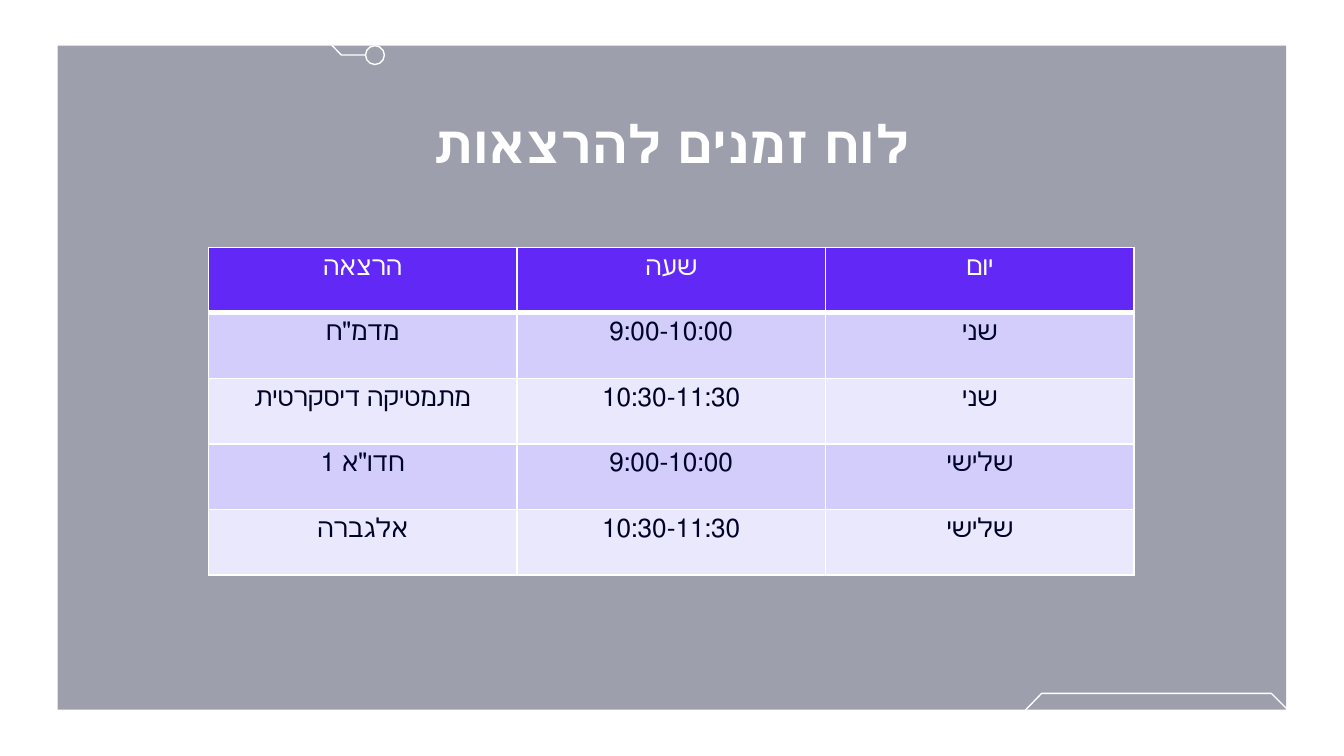
"""Build a lecture timetable slide with a framed backdrop and circuit ornaments."""
import pptx
import pptx.dml.color
import pptx.enum.shapes
import pptx.enum.text
import pptx.oxml.ns
import pptx.util
import lxml.etree

RGBColor = pptx.dml.color.RGBColor
Inches = pptx.util.Inches
Pt = pptx.util.Pt
SHAPE = pptx.enum.shapes.MSO_SHAPE
CENTER = pptx.enum.text.PP_ALIGN.CENTER

WHITE = RGBColor(0xFF, 0xFF, 0xFF)
NAVY = RGBColor(0x00, 0x03, 0x28)
VIOLET = RGBColor(0x61, 0x28, 0xF6)
LILAC = RGBColor(0xD2, 0xCD, 0xFB)
PALE_LILAC = RGBColor(0xEA, 0xE8, 0xFD)

WIDTH = 10
HEIGHT = WIDTH * 9 / 16
FONT = "Arial"
TRACE = [(0, 0.25), (0.4, 0.25), (0.54, 0.11), (2.25, 0.11), (2.54, 0.41), (2.72, 0.41)]
NODE_SIZE = 0.14
TIMETABLE = [
    ("הרצאה", "שעה", "יום"),
    ('מדמ"ח', "9:00-10:00", "שני"),
    ("מתמטיקה דיסקרטית", "10:30-11:30", "שני"),
    ('חדו"א 1', "9:00-10:00", "שלישי"),
    ("אלגברה", "10:30-11:30", "שלישי"),
]
TABLE_WIDTH, TABLE_HEIGHT = 6.89, 2.44


def add_child(parent, tag, **attributes):
    """Append a DrawingML element and return it."""
    return lxml.etree.SubElement(parent, pptx.oxml.ns.qn(tag), attributes)


def write_text(frame, text, size=14, color=NAVY, bold=False):
    """Write one centred right-to-left paragraph into a text frame."""
    para = frame.paragraphs[0]
    para.alignment = CENTER
    para._p.get_or_add_pPr().set("rtl", "1")
    span = para.add_run()
    span.text = text
    span.font.name = FONT
    span.font.size = Pt(size)
    span.font.bold = bold
    span.font.color.rgb = color


def add_backdrop(page):
    """Draw the translucent navy panel inside the white frame."""
    panel = page.shapes.add_shape(
        SHAPE.RECTANGLE, Inches(0.43), Inches(0.34), Inches(9.14), Inches(4.94))
    panel.shadow.inherit = False
    panel.line.fill.background()
    panel.fill.solid()
    panel.fill.fore_color.rgb = NAVY
    color = panel._element.spPr.find(".//" + pptx.oxml.ns.qn("a:srgbClr"))
    add_child(color, "a:alpha", val="38000")


def outline(shape):
    """Leave a shape unfilled with a thin white line."""
    shape.shadow.inherit = False
    shape.fill.background()
    shape.line.color.rgb = WHITE
    shape.line.width = Pt(0.75)


def add_trace(page, drop=0, mirrored=False):
    """Draw a bent circuit trace from a side of the slide."""
    points = [(Inches(WIDTH - x if mirrored else x), Inches(y + drop)) for x, y in TRACE]
    builder = page.shapes.build_freeform(*points[0])
    builder.add_line_segments(points[1:], close=False)
    outline(builder.convert_to_shape())


def add_node(page):
    """Draw the round node at the end of the upper trace."""
    left, middle = TRACE[-1]
    outline(page.shapes.add_shape(
        SHAPE.OVAL, Inches(left), Inches(middle - NODE_SIZE / 2),
        Inches(NODE_SIZE), Inches(NODE_SIZE)))


def add_title(page, text):
    """Add the centred slide title."""
    box = page.shapes.add_textbox(
        Inches(WIDTH / 4), Inches(0.78), Inches(WIDTH / 2), Inches(0.57))
    box.text_frame.word_wrap = True
    write_text(box.text_frame, text, size=28, color=WHITE, bold=True)


def add_border(cell, bottom=1):
    """Give a cell white borders, with a chosen bottom width in points."""
    properties = cell._tc.get_or_add_tcPr()
    for side, width in (("L", 1), ("R", 1), ("T", 1), ("B", bottom)):
        line = add_child(properties, "a:ln" + side, w=str(Pt(width)))
        add_child(add_child(line, "a:solidFill"), "a:srgbClr", val=str(WHITE))


def add_timetable(page, rows):
    """Add the timetable with a violet header and alternating rows."""
    table = page.shapes.add_table(
        len(rows), len(rows[0]), Inches(1.55), Inches(1.84),
        Inches(TABLE_WIDTH), Inches(TABLE_HEIGHT)).table
    for row, texts in enumerate(rows):
        header = row == 0
        fill = VIOLET if header else LILAC if row % 2 else PALE_LILAC
        for column, text in enumerate(texts):
            cell = table.cell(row, column)
            add_border(cell, bottom=3 if header else 1)
            cell.fill.solid()
            cell.fill.fore_color.rgb = fill
            write_text(cell.text_frame, text, color=WHITE if header else NAVY)


def main():
    """Build and save the deck."""
    deck = pptx.Presentation()
    deck.slide_width, deck.slide_height = Inches(WIDTH), Inches(HEIGHT)
    page = deck.slides.add_slide(deck.slide_layouts[6])
    add_backdrop(page)
    add_trace(page)
    add_node(page)
    add_trace(page, drop=5.05, mirrored=True)
    add_title(page, "לוח זמנים להרצאות")
    add_timetable(page, TIMETABLE)
    deck.save("out.pptx")


if __name__ == "__main__":
    main()
